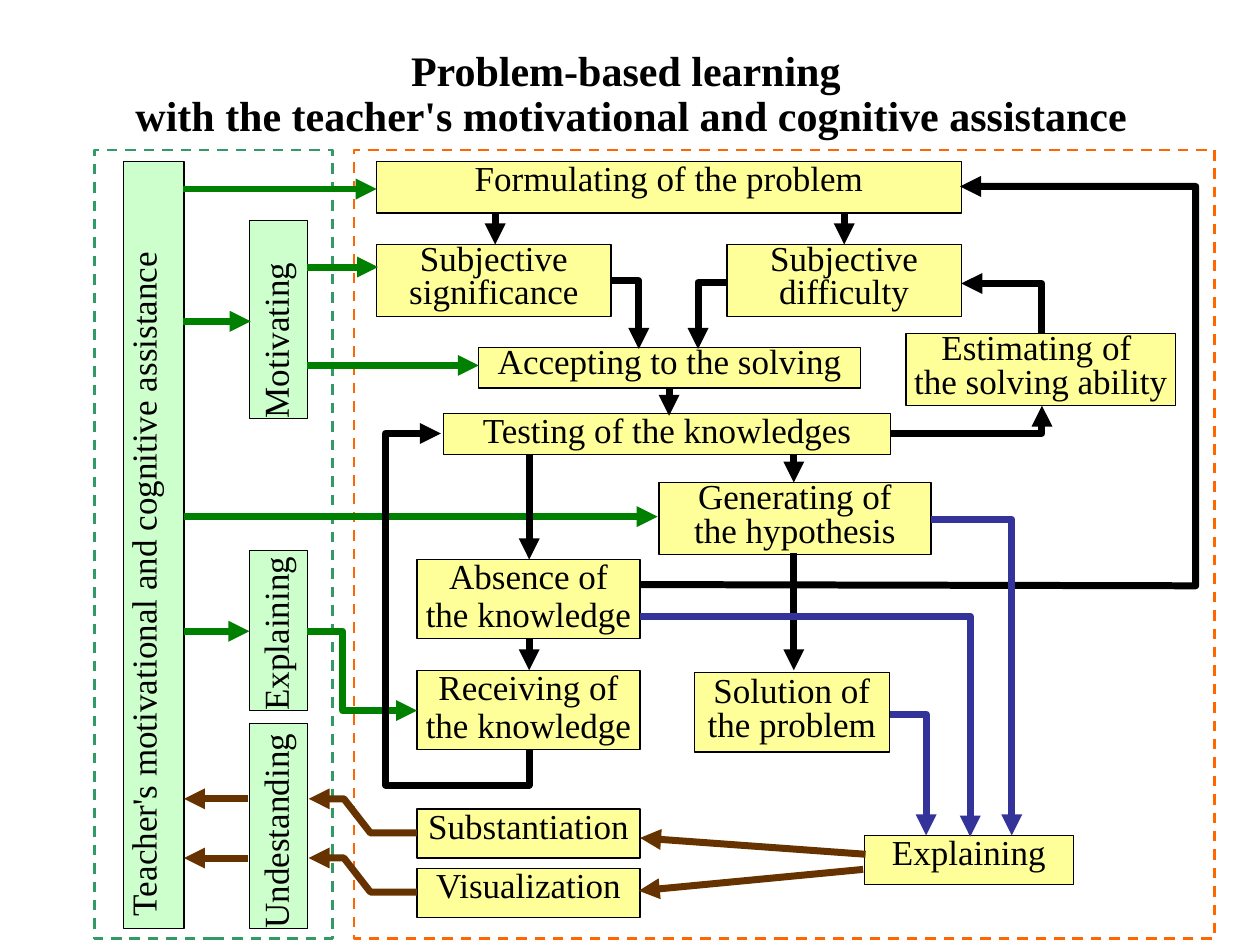
from dataclasses import dataclass

from lxml.etree import SubElement
from pptx import Presentation
from pptx.dml.color import RGBColor
from pptx.enum.dml import MSO_LINE_DASH_STYLE as Dash
from pptx.enum.shapes import MSO_CONNECTOR as Connector, MSO_SHAPE as Preset
from pptx.enum.text import MSO_ANCHOR as Anchor, PP_ALIGN as Align
from pptx.oxml.ns import qn
from pptx.util import Emu, Inches, Pt

COLUMNS, ROWS = 100, 75  # square grid cells
WIDTH, HEIGHT = Inches(10), Inches(7.5)


@dataclass(frozen=True)
class Theme:
    ink: str = "000000"
    step_fill: str = "FFFF99"
    teacher_fill: str = "CCFFCC"
    teacher_frame: str = "339966"
    learner_frame: str = "FF6600"
    help: str = "008000"
    explain: str = "333399"
    feedback: str = "663300"
    font: str = "Times New Roman"
    gap_font: str = "Arial"
    title_size: float = 24
    text_size: float = 20
    gap_size: float = 18
    frame_width: float = 1.5
    box_width: float = 0.75
    arrow_width: float = 4


THEME = Theme()


@dataclass(frozen=True)
class Span:
    text: str
    font: str = THEME.font
    size: float = THEME.text_size
    bold: bool = False


@dataclass(frozen=True)
class Line:
    spans: tuple[Span, ...]
    spacing: float


@dataclass(frozen=True)
class Area:
    left: float
    top: float
    width: float
    height: float

    def emu(self) -> tuple[Emu, Emu, Emu, Emu]:
        return x(self.left), y(self.top), x(self.width), y(self.height)


@dataclass(frozen=True)
class Box:
    area: Area
    lines: tuple[Line, ...]
    fill: str = THEME.step_fill
    upright: bool = False
    margins: tuple[float, float] = (0, 0)


@dataclass(frozen=True)
class Arrow:
    color: str
    points: tuple[tuple[float, float], ...]


def x(column: float) -> Emu:
    return Emu(round(WIDTH * column / COLUMNS))


def y(row: float) -> Emu:
    return Emu(round(HEIGHT * row / ROWS))


def rgb(value: str) -> RGBColor:
    return RGBColor.from_string(value)


def text(*words: str, spacing: float = 0.9) -> tuple[Line, ...]:
    return tuple(Line((Span(word),), spacing) for word in words)


def step(left: float, top: float, width: float, height: float, *words: str,
         spacing: float = 0.9) -> Box:
    return Box(Area(left, top, width, height), text(*words, spacing=spacing))


def role(top: float, height: float, word: str) -> Box:
    return Box(Area(19.8, top, 4.6, height), text(word, spacing=1.1),
               THEME.teacher_fill, upright=True)


def arrow(color: str, *points: tuple[float, float]) -> Arrow:
    return Arrow(color, points)


def add_frame(page, area: Area, color: str) -> None:
    frame = page.shapes.add_shape(Preset.RECTANGLE, *area.emu())
    frame.shadow.inherit = False
    frame.fill.background()
    frame.line.color.rgb = rgb(color)
    frame.line.width = Pt(THEME.frame_width)
    frame.line.dash_style = Dash.DASH


def add_span(para, span: Span) -> None:
    run = para.add_run()
    run.text = span.text
    run.font.name = span.font
    run.font.size = Pt(span.size)
    run.font.bold = span.bold
    run.font.color.rgb = rgb(THEME.ink)


def set_margins(frame, side: float, end: float) -> None:
    frame.margin_left = frame.margin_right = x(side)
    frame.margin_top = frame.margin_bottom = y(end)


def add_title(page) -> None:
    frame = page.shapes.add_textbox(*Area(5.1, 3.2, 90, 8.7).emu()).text_frame
    frame.word_wrap = True
    frame.vertical_anchor = Anchor.MIDDLE
    set_margins(frame, 1, 0.5)
    para = frame.paragraphs[0]
    para.alignment = Align.CENTER
    para.line_spacing = 0.9
    add_span(para, Span("Problem-based learning ", size=THEME.title_size, bold=True))
    para.add_line_break()
    add_span(para, Span("with the teacher's motivational and cognitive assistance",
                        size=THEME.title_size, bold=True))


def add_box(page, box: Box) -> None:
    shape = page.shapes.add_shape(Preset.RECTANGLE, *box.area.emu())
    shape.shadow.inherit = False
    shape.fill.solid()
    shape.fill.fore_color.rgb = rgb(box.fill)
    shape.line.color.rgb = rgb(THEME.ink)
    shape.line.width = Pt(THEME.box_width)
    frame = shape.text_frame
    frame.word_wrap = True
    frame.vertical_anchor = Anchor.TOP
    set_margins(frame, *box.margins)
    if box.upright:  # vertical text, turned to read from bottom to top
        shape.rotation = 180
        frame._txBody.find(qn("a:bodyPr")).set("vert", "eaVert")
    for index, line in enumerate(box.lines):
        para = frame.add_paragraph() if index else frame.paragraphs[0]
        para.alignment = Align.CENTER
        para.line_spacing = line.spacing
        for span in line.spans:
            add_span(para, span)


def add_arrow(page, item: Arrow) -> None:
    points = [(x(column), y(row)) for column, row in item.points]
    straight = len(points) == 2
    if straight:
        shape = page.shapes.add_connector(Connector.STRAIGHT, *points[0], *points[1])
    else:
        builder = page.shapes.build_freeform(*points[0])
        builder.add_line_segments(points[1:], close=False)
        shape = builder.convert_to_shape()
        shape.fill.background()
        shape.shadow.inherit = False
    shape.line.color.rgb = rgb(item.color)
    shape.line.width = Pt(THEME.arrow_width)
    properties = shape._element.spPr
    SubElement(properties.find(qn("a:ln")), qn("a:tailEnd"), type="triangle")
    if straight:
        SubElement(properties, qn("a:effectLst"))


FRAMES = (
    (Area(7.5, 11.9, 18.9, 62.6), THEME.teacher_frame),
    (Area(28.1, 11.9, 68.3, 62.6), THEME.learner_frame),
)

ESTIMATING = (
    Line((Span("Estimating"), Span(" ", THEME.gap_font, THEME.gap_size), Span("of ")), 0.8),
    *text("the solving ability", spacing=0.8),
)

BOXES = (
    # Teacher's side
    Box(Area(9.8, 12.8, 4.8, 60.9),
        text("Teacher's motivational and cognitive assistance", spacing=0.8),
        THEME.teacher_fill, upright=True, margins=(0.5, 1)),
    role(17.5, 15.7, "Motivating"),
    role(43.7, 12.7, "Explaining"),
    role(57.4, 16.3, "Undestanding"),
    # Learner's side
    step(29.9, 12.8, 46.4, 4.1, "Formulating of the problem"),
    step(29.9, 19.4, 18.6, 5.7, "Subjective", "significance", spacing=0.8),
    step(57.7, 19.4, 18.6, 5.7, "Subjective", "difficulty", spacing=0.8),
    Box(Area(71.9, 26.5, 21.4, 5.7), ESTIMATING),
    step(38, 27.6, 30.3, 3.2, "Accepting to the solving", spacing=0.8),
    step(35.2, 32.8, 35.5, 3.3, "Testing of the knowledges"),
    step(52.3, 38.3, 21.6, 5.7, "Generating of", "the hypothesis", spacing=0.8),
    step(33.1, 44.4, 17.7, 6.3, "Absence of", "the knowledge"),
    step(33.1, 53.2, 17.7, 6.3, "Receiving of", "the knowledge"),
    Box(Area(55.1, 53.4, 15.5, 6.3),
        text("Solution of") + text("the problem", spacing=0.8)),
    step(33.1, 64.2, 17.7, 3.9, "Substantiation"),
    step(33.1, 68.9, 17.7, 3.9, "Visualization"),
    step(68.6, 66.3, 16.6, 3.9, "Explaining"),
)

ARROWS = (
    # Teacher's help
    arrow(THEME.help, (14.5, 15), (29.9, 15)),
    arrow(THEME.help, (14.5, 25.5), (19.9, 25.5)),
    arrow(THEME.help, (14.6, 41), (52.2, 41)),
    arrow(THEME.help, (14.6, 50.1), (19.8, 50.1)),
    arrow(THEME.help, (24.4, 21.2), (30, 21.2)),
    arrow(THEME.help, (24.4, 29), (38, 29)),
    arrow(THEME.help, (24.4, 50.1), (27.2, 50.1), (27.2, 56.4), (33.1, 56.4)),
    # Learner's path
    arrow(THEME.ink, (39.3, 16.9), (39.3, 19.4)),
    arrow(THEME.ink, (67, 16.9), (67, 19.4)),
    arrow(THEME.ink, (48.5, 22.3), (50.7, 22.3), (50.7, 27.7)),
    arrow(THEME.ink, (57.6, 22.4), (55.4, 22.4), (55.4, 27.7)),
    arrow(THEME.ink, (53.1, 30.8), (53.1, 33)),
    arrow(THEME.ink, (70.7, 34.4), (82.7, 34.4), (82.7, 32.2)),
    arrow(THEME.ink, (82.7, 26.5), (82.7, 22.5), (76.3, 22.5)),
    arrow(THEME.ink, (42, 36), (42, 44.4)),
    arrow(THEME.ink, (63, 36), (63, 38.3)),
    arrow(THEME.ink, (63, 43.9), (63, 53.2)),
    arrow(THEME.ink, (42, 50.7), (42, 53.2)),
    arrow(THEME.ink, (42, 59.5), (42, 62.3), (30.6, 62.3), (30.6, 34.4), (35, 34.4)),
    arrow(THEME.ink, (50.8, 46.4), (94.9, 46.5), (94.9, 14.8), (76.2, 14.8)),
    # Learner's explaining
    arrow(THEME.explain, (70.6, 56.7), (73.5, 56.7), (73.5, 66.3)),
    arrow(THEME.explain, (50.8, 48.9), (77, 48.9), (77, 66.4)),
    arrow(THEME.explain, (73.9, 41.2), (80.3, 41.2), (80.3, 66.3)),
    # Feedback to the teacher
    arrow(THEME.feedback, (68.7, 67.8), (50.8, 66.5)),
    arrow(THEME.feedback, (68.5, 69), (50.7, 70.7)),
    *(arrow(THEME.feedback, (33.1, row + 2.7), (29.4, row + 2.7), (27.3, row), (24.5, row))
      for row in (63.4, 68.1)),
    *(arrow(THEME.feedback, (19.7, row), (14.6, row)) for row in (63.4, 68.1)),
)


def main() -> None:
    deck = Presentation()
    deck.slide_width, deck.slide_height = WIDTH, HEIGHT
    page = deck.slides.add_slide(deck.slide_layouts[6])
    for area, color in FRAMES:
        add_frame(page, area, color)
    add_title(page)
    for box in BOXES:
        add_box(page, box)
    for item in ARROWS:
        add_arrow(page, item)
    deck.save("out.pptx")


if __name__ == "__main__":
    main()
